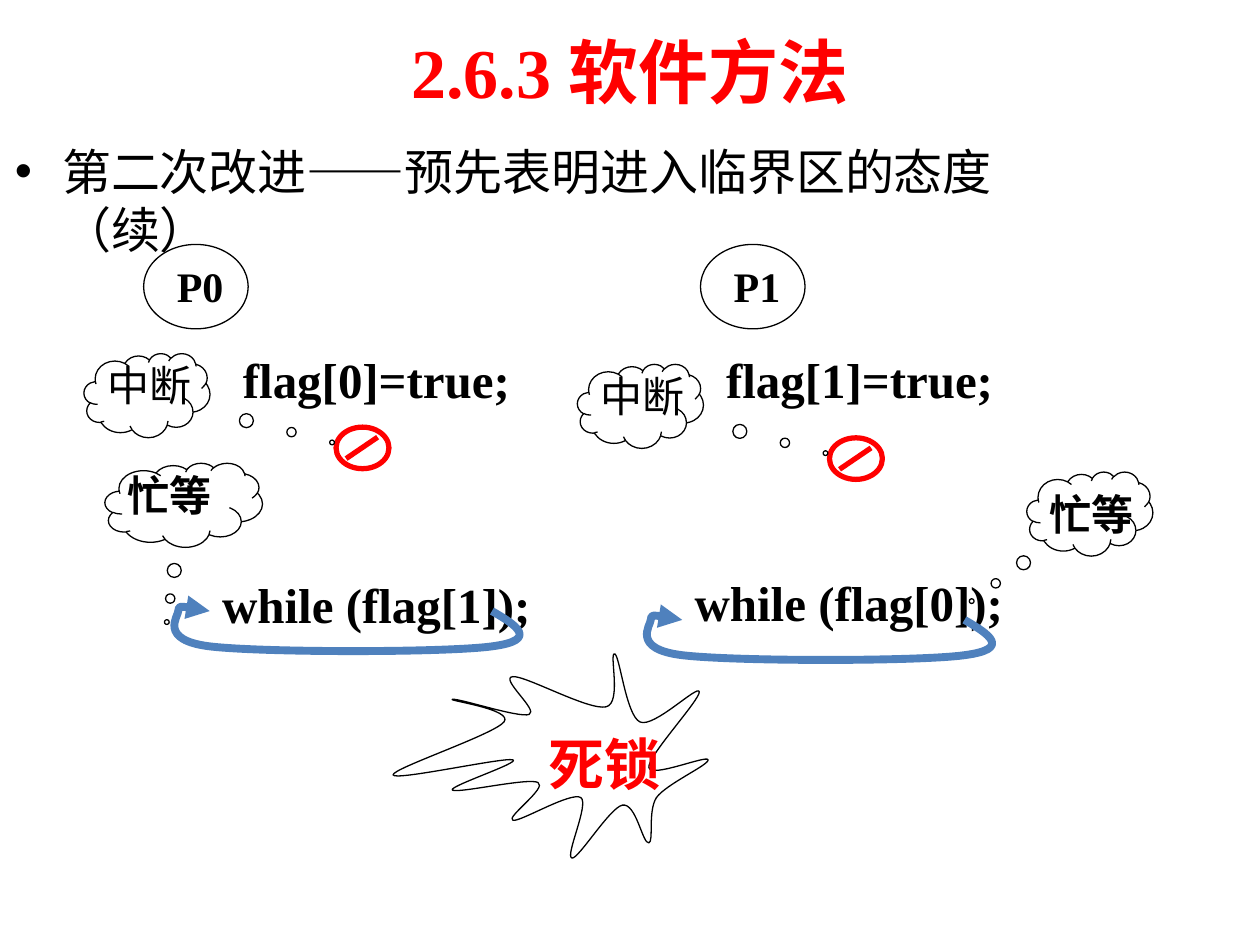
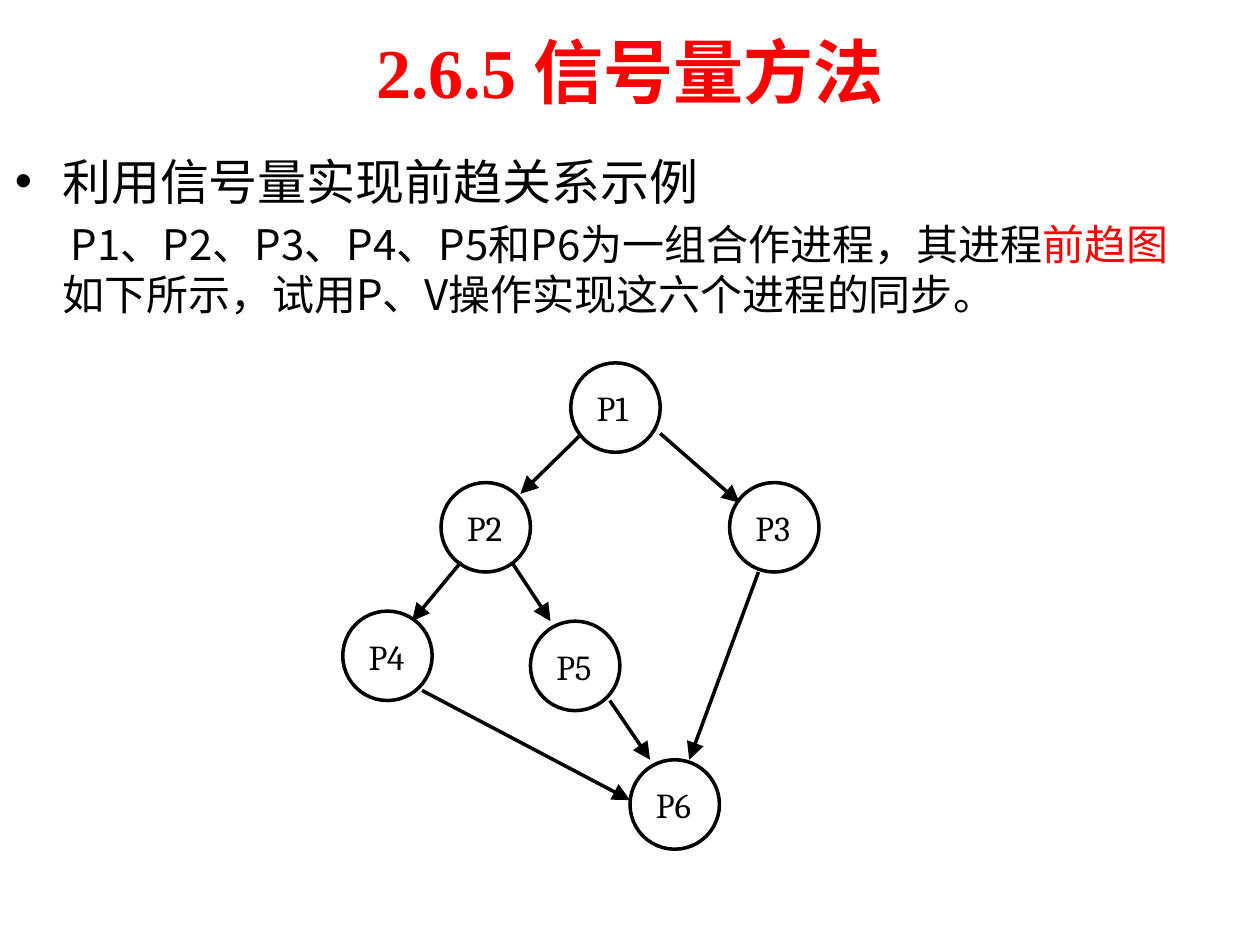
from collections import namedtuple

from lxml.etree import SubElement
from pptx import Presentation
from pptx.dml.color import RGBColor as Rgb
from pptx.enum.shapes import MSO_CONNECTOR as Connector, MSO_SHAPE as Preset
from pptx.enum.text import MSO_ANCHOR as Anchor, PP_ALIGN as Align
from pptx.oxml.ns import qn
from pptx.util import Inches, Pt

COLORS = {"ink": "000000", "accent": "FF0000", "loop": "4F81BD"}
SERIF, SANS, NODE_FONT = "Times New Roman", "Noto Sans CJK SC", "Cambria"
COLUMNS, ROWS = 100, 75
WIDTH, HEIGHT = Inches(10), Inches(7.5)
COLUMN, ROW = WIDTH // COLUMNS, HEIGHT // ROWS
HANGING = Pt(27)

LOOP_CURVE = [
    (4.1, 0.5),
    (2.9, 0.2), (1.6, 0), (1.6, 0.5),
    (1.6, 0.9), (0, 2.8), (4.1, 3.3),
    (8.3, 3.8), (22.8, 3.8), (26.5, 3.3),
    (30.3, 2.8), (28.4, 1.6), (26.5, 0.5),
]
BURST_CURVE = [
    (8.9, 5.6),
    (8.1, 6.6), (0, 9.3), (0.1, 9.8), (0.2, 10.3), (8.8, 8.4), (9.6, 8.6),
    (10.3, 8.8), (4.5, 10.7), (4.8, 11), (5.2, 11.3), (10.8, 10), (11.6, 10.4),
    (12.4, 10.8), (9, 13.2), (9.6, 13.4), (10.1, 13.6), (14.2, 11.1), (15, 11.6),
    (15.7, 12.1), (13.7, 16.3), (14.3, 16.4), (14.8, 16.5), (17.3, 12.4), (18.3, 12.2),
    (19.4, 12), (19.9, 15.3), (20.4, 15.2), (20.8, 15.1), (20.3, 12.7), (21, 11.6),
    (21.8, 10.5), (25.2, 9), (25.1, 8.6), (25, 8.2), (20.5, 10.1), (20.4, 9.2),
    (20.3, 8.3), (24.5, 3.8), (24.4, 3.2), (24.3, 2.6), (20.8, 6.1), (19.7, 5.6),
    (18.6, 5.1), (18.1, 0.4), (17.7, 0.2), (17.2, 0), (18.3, 4.1), (17, 4.4),
    (15.6, 4.7), (10.6, 1.9), (9.6, 2), (8.5, 2.1), (11.7, 4.7), (10.9, 5),
    (10.1, 5.3), (5.3, 3.7), (4.8, 3.8), (4.4, 3.9), (9.7, 4.6), (8.9, 5.6),
]
NODES = {
    "P1": (18.1, 0), "P2": (7.8, 9.5), "P3": (30.7, 9.5),
    "P4": (0, 19.7), "P5": (14.9, 20.5), "P6": (22.8, 31.5),
}
EDGES = [
    ((18.9, 5.7), (14.1, 10.4)),
    ((9.4, 15.8), (5.5, 20.5)),
    ((25.2, 5.6), (31.5, 11.1)),
    ((13.4, 15.8), (16.5, 20.5)),
    ((33, 16.6), (27.5, 31.5)),
    ((21.2, 26.8), (24.4, 31.5)),
    ((6.3, 26), (22.8, 34.7)),
]


class Box(namedtuple("Box", "left top width height")):
    def within(self, left, top, width, height):
        return Box(self.left + left, self.top + top, width, height)

    def point(self, x, y):
        return round((self.left + x) * COLUMN), round((self.top + y) * ROW)

    def frame(self):
        return *self.point(0, 0), round(self.width * COLUMN), round(self.height * ROW)


def style_line(item, color, weight, arrow_end=None, arrow_size="med"):
    item.line.color.rgb = Rgb.from_string(COLORS[color])
    item.line.width = Pt(weight)
    if arrow_end:
        SubElement(item.line._get_or_add_ln(), qn(f"a:{arrow_end}"),
                   type="triangle", w=arrow_size, len=arrow_size)


def style_outline(shape, color, weight, arrow_end=None):
    shape.fill.background()
    shape.shadow.inherit = False
    style_line(shape, color, weight, arrow_end)


def add_outline(page, preset, box, color="ink", weight=0.75):
    shape = page.shapes.add_shape(preset, *box.frame())
    style_outline(shape, color, weight)
    return shape


def add_line(page, start, end, color, weight, arrow_end=None):
    line = page.shapes.add_connector(Connector.STRAIGHT, *start, *end)
    style_line(line, color, weight, arrow_end, "lg")
    SubElement(line._element.spPr, qn("a:effectLst"))


def bend_segments(shape):
    segments = list(shape._element.iter(qn("a:lnTo")))
    for first, second, end in zip(segments[::3], segments[1::3], segments[2::3]):
        first.tag = qn("a:cubicBezTo")
        for segment in (second, end):
            first.append(segment[0])
            segment.getparent().remove(segment)


def add_curve(page, box, points, color, weight, close=False, arrow_end=None):
    start, *controls = [box.point(*point) for point in points]
    builder = page.shapes.build_freeform(*start, scale=1.0)
    builder.add_line_segments(controls, close=close)
    shape = builder.convert_to_shape()
    bend_segments(shape)
    style_outline(shape, color, weight, arrow_end)


def set_font(para, size, name=SERIF, color="ink", bold=False):
    para.font.size = Pt(size)
    para.font.name = name
    para.font.bold = bold
    para.font.color.rgb = Rgb.from_string(COLORS[color])


def add_text(page, box, text, size, wrap=False, inset=True, **font):
    frame = page.shapes.add_textbox(*box.frame()).text_frame
    frame.word_wrap = wrap
    if not inset:
        frame.margin_left = frame.margin_right = 0
        frame.margin_top = frame.margin_bottom = 0
    para = frame.paragraphs[0]
    para.text = text
    set_font(para, size, **font)
    return frame


def indent(para, first_line, bullet=None):
    props = para._p.get_or_add_pPr()
    props.set("marL", str(HANGING))
    props.set("indent", str(first_line))
    if bullet:
        SubElement(props, qn("a:buFont"), typeface="Arial")
        SubElement(props, qn("a:buChar"), char=bullet)
    else:
        SubElement(props, qn("a:buNone"))


def add_title(page, text):
    frame = add_text(page, Box(5, 0.5, 90, 10.2), text, 40, wrap=True,
                     color="accent", bold=True)
    frame.vertical_anchor = Anchor.MIDDLE
    frame.paragraphs[0].alignment = Align.CENTER


def add_body(page, box, heading):
    frame = page.shapes.add_textbox(*box.frame()).text_frame
    frame.word_wrap = True
    para = frame.paragraphs[0]
    para.text = heading
    indent(para, -HANGING, "•")
    set_font(para, 28)
    return frame


def process_badge(page, box, name):
    add_text(page, box.within(1.65, 0.8, 5.7, 5), name, 24, bold=True)
    add_outline(page, Preset.OVAL, box)


def thought_cloud(page, box, words, tail, caption, wrap=True, bold=False):
    cloud = add_outline(page, Preset.CLOUD_CALLOUT, box)
    cloud.adjustments[0], cloud.adjustments[1] = tail
    add_text(page, box.within(*caption), words, 24, wrap=wrap, bold=bold)


def interrupt(page, box):
    add_outline(page, Preset.OVAL, box.within(20, 5.85, 4.2, 3.3), "accent", 3)
    add_line(page, box.point(20.8, 8.35), box.point(23.3, 6.65), "accent", 3)
    thought_cloud(page, box, "中断", (1.469, 0.56), (0.85, 0, 9.3, 5))


def spin_loop(page, box, statement, loop_top):
    add_text(page, box, statement, 28, bold=True)
    add_curve(page, box.within(-4.1, loop_top, 30.3, 3.8), LOOP_CURVE, "loop", 4.5,
              arrow_end="headEnd")


def deadlock_burst(page, box):
    add_curve(page, box, BURST_CURVE, "ink", 0.75, close=True)
    add_text(page, box.within(11.45, 5.7, 10.9, 6.3), "死锁", 32, color="accent", bold=True)


def precedence_graph(page, box):
    for name, (left, top) in NODES.items():
        node = box.within(left, top, 7.1, 7.1)
        add_outline(page, Preset.OVAL, node, weight=2)
        add_text(page, node.within(2.05, 1.9, 3.9, 3.3), name, 20, wrap=True,
                 inset=False, name=NODE_FONT)
    for start, end in EDGES:
        add_line(page, box.point(*start), box.point(*end), "ink", 2, "tailEnd")


def software_slide(page):
    add_title(page, "2.6.3 软件方法")
    add_body(page, Box(0.2, 10.7, 90, 49.5), "第二次改进——预先表明进入临界区的态度（续）")
    for index, left in enumerate((11.4, 55.6)):
        process_badge(page, Box(left, 19.4, 8.3, 6.7), f"P{index}")
    for index, left in enumerate((18.3, 56.65)):
        add_text(page, Box(left, 27.25, 23.3, 5.7), f"flag[{index}]=true;", 28, bold=True)
    for left, top in ((6.67, 28.05), (45.83, 28.9)):
        interrupt(page, Box(left, top, 10, 6.67))
    spin_loop(page, Box(16.65, 45.1, 26.6, 5.7), "while (flag[1]);", 2.9)
    spin_loop(page, Box(54.15, 44.95, 26.6, 5.7), "while (flag[0]);", 3.75)
    thought_cloud(page, Box(8.33, 36.75, 12.5, 6.67), "忙等", (-0.107, 1.393),
                  (0.8, 0, 8.7, 5), wrap=False, bold=True)
    thought_cloud(page, Box(81.5, 37.45, 10, 6.67), "忙等", (-0.938, 1.039),
                  (0.8, 0.8, 10.8, 5), bold=True)
    deadlock_burst(page, Box(31.1, 51.7, 25.2, 16.5))


def semaphore_slide(page):
    add_title(page, "2.6.5 信号量方法")
    frame = add_body(page, Box(0.2, 11.5, 95.5, 49.5), "利用信号量实现前趋关系示例")
    para = frame.add_paragraph()
    indent(para, Pt(5))
    para.space_before = Pt(4.8)
    set_font(para, 24, SANS)
    for text, color in (
        ("P1、P2、P3、P4、P5和P6为一组合作进程，其进程", "ink"),
        ("前趋图", "accent"),
        ("如下所示，试用P、V操作实现这六个进程的同步。", "ink"),
    ):
        span = para.add_run()
        span.text = text
        span.font.color.rgb = Rgb.from_string(COLORS[color])
    precedence_graph(page, Box(27.2, 28.8, 37.8, 38.6))


def main():
    deck = Presentation()
    deck.slide_width, deck.slide_height = WIDTH, HEIGHT
    for build in (software_slide, semaphore_slide):
        build(deck.slides.add_slide(deck.slide_layouts[6]))
    deck.save("out.pptx")


if __name__ == "__main__":
    main()
